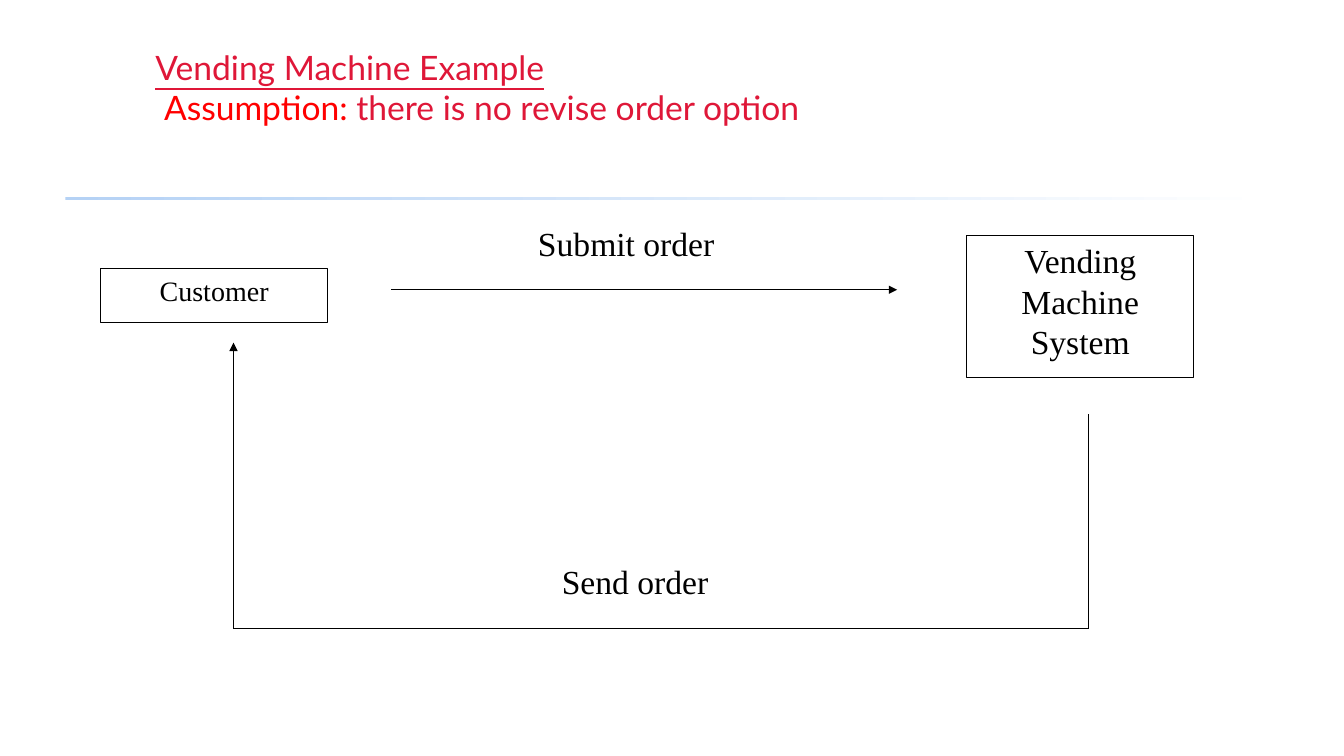
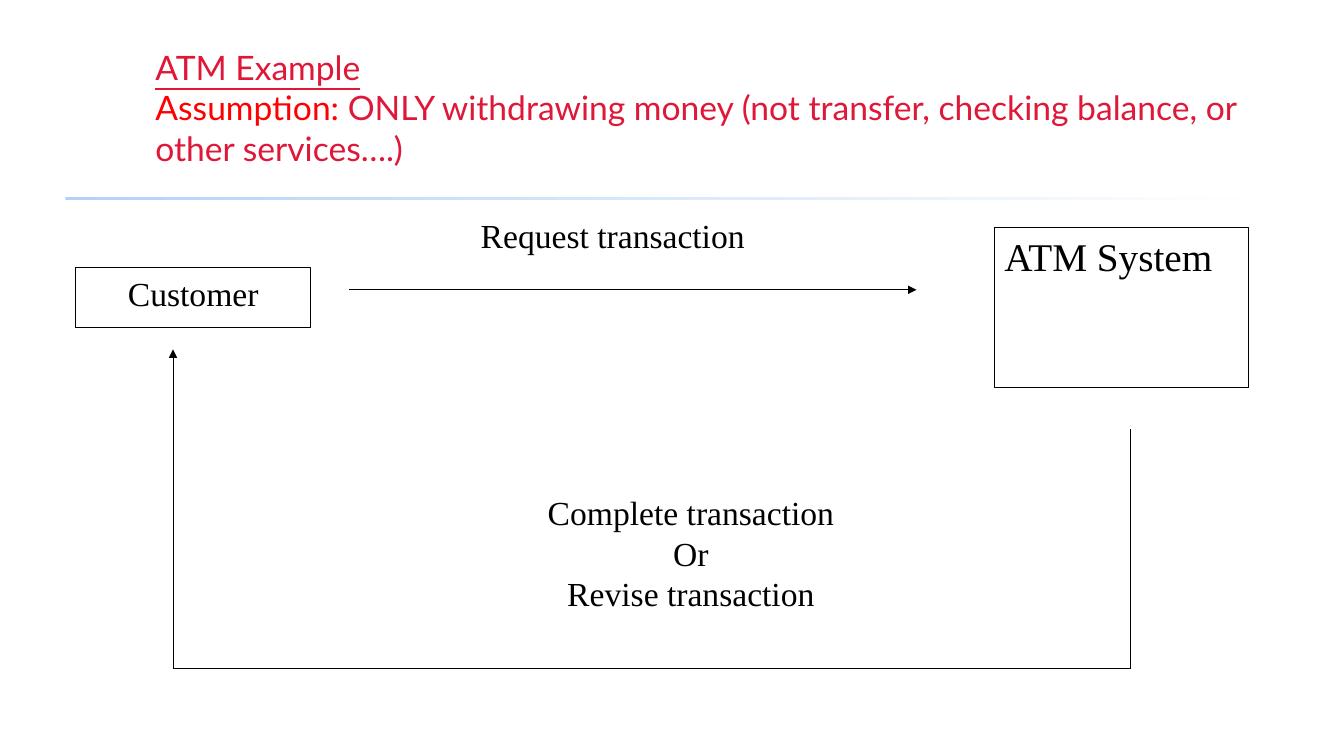
import dataclasses
import itertools

import lxml.etree
import pptx
import pptx.dml.color
import pptx.enum.shapes
import pptx.enum.text
import pptx.oxml.ns
import pptx.util


@dataclasses.dataclass(frozen=True)
class Theme:
    crimson = pptx.dml.color.RGBColor.from_string("DF1738")
    red = pptx.dml.color.RGBColor.from_string("FF0000")
    black = pptx.dml.color.RGBColor.from_string("000000")
    white = pptx.dml.color.RGBColor.from_string("FFFFFF")
    pale_blue = pptx.dml.color.RGBColor.from_string("B5D2F5")
    title_font = "Lato"
    body_font = "Times New Roman"
    title_size = pptx.util.Pt(24)
    label_size = pptx.util.Pt(24)
    line_width = pptx.util.Pt(0.75)


theme = Theme()
left = pptx.enum.text.PP_ALIGN.LEFT
center = pptx.enum.text.PP_ALIGN.CENTER
rectangle = pptx.enum.shapes.MSO_SHAPE.RECTANGLE

presentation = pptx.Presentation()
presentation.slide_width = pptx.util.Inches(13.33)
presentation.slide_height = pptx.util.Inches(7.5)
column = presentation.slide_width / 16
row = presentation.slide_height / 9


def place(x, y, width, height):
    return int(x * column), int(y * row), int(width * column), int(height * row)


def add_box(slide, area, lines, outline, size=theme.label_size, alignment=center):
    shape = slide.shapes.add_shape(rectangle, *place(*area))
    shape.shadow.inherit = False
    shape.fill.solid()
    shape.fill.fore_color.rgb = theme.white
    shape.line.color.rgb = outline
    shape.line.width = theme.line_width
    frame = shape.text_frame
    frame.word_wrap = True
    frame.vertical_anchor = pptx.enum.text.MSO_ANCHOR.TOP
    frame.text = "\n".join(lines)
    for paragraph in frame.paragraphs:
        paragraph.alignment = alignment
        paragraph.font.name = theme.body_font
        paragraph.font.size = size
        paragraph.font.color.rgb = theme.black


diagrams = [
    {
        "title": ("Vending Machine Example", " ", "Assumption:", " there is no revise order option"),
        "customer": ((1.2, 3.2, 2.7, 0.64), ["Customer"], theme.black, pptx.util.Pt(20)),
        "system": ((11.51, 2.8, 2.7, 1.69), ["Vending Machine System"], theme.black),
        "request": [(4.66, 3.45), (10.68, 3.45)],
        "response": [(12.96, 4.93), (12.96, 7.48), (2.78, 7.48), (2.78, 4.08)],
        "response label": ((6.11, 6.62, 2.9, 0.64), ["Send order"], theme.white),
        "request label": ((5.69, 2.6, 3.53, 0.64), ["Submit order"], theme.white),
    },
    {
        "title": (
            "ATM Example",
            "",
            "Assumption: ",
            "ONLY withdrawing money (not transfer, checking balance, or other services….)",
        ),
        "customer": ((0.9, 3.19, 2.8, 0.71), ["Customer"], theme.black),
        "system": ((11.84, 2.71, 3.02, 1.9), ["ATM System"], theme.black, pptx.util.Pt(28), left),
        "request": [(4.16, 3.45), (10.91, 3.45)],
        "response": [(13.46, 5.11), (13.46, 7.96), (2.06, 7.96), (2.06, 4.16)],
        "response label": (
            (5.2, 5.8, 6.05, 1.9),
            ["Complete transaction", "Or", "Revise transaction"],
            theme.white,
        ),
        "request label": ((4.62, 2.5, 5.35, 0.71), ["Request transaction"], theme.white),
    },
]

layout = presentation.slide_layouts.get_by_name("Title Only")
slides = [presentation.slides.add_slide(layout) for diagram in diagrams]

for placeholder in list(layout.placeholders)[1:]:
    layout.shapes.element.remove(placeholder.element)
rule = slides[0].shapes.add_shape(rectangle, *place(0.78, 2.34, 14.4, 0.04))
rule.shadow.inherit = False
rule.line.fill.background()
rule.fill.gradient()
rule.fill.gradient_angle = 0
for stop, color in zip(rule.fill.gradient_stops, (theme.pale_blue, theme.white)):
    stop.color.rgb = color
layout.shapes.element.append(rule.element)

for slide, diagram in zip(slides, diagrams):
    title = slide.shapes.title
    title.left, title.top, title.width, title.height = place(1.73, 0.5, 13.79, 1.5)
    frame = title.text_frame
    frame.word_wrap = True
    frame.auto_size = pptx.enum.text.MSO_AUTO_SIZE.NONE
    frame.vertical_anchor = pptx.enum.text.MSO_ANCHOR.TOP
    paragraph = frame.paragraphs[0]
    paragraph.alignment = left
    paragraph.font.name = theme.title_font
    paragraph.font.size = theme.title_size
    paragraph.font.color.rgb = theme.crimson
    heading, indent, keyword, assumption = diagram["title"]
    run = paragraph.add_run()
    run.text = heading
    run.font.underline = True
    paragraph.add_line_break()
    for text, color in ((indent, theme.crimson), (keyword, theme.red), (assumption, theme.crimson)):
        if text:
            run = paragraph.add_run()
            run.text = text
            run.font.color.rgb = color

    for name in ("customer", "system"):
        add_box(slide, *diagram[name])

    for name in ("request", "response"):
        for start, end in itertools.pairwise(diagram[name]):
            connector = slide.shapes.add_connector(
                pptx.enum.shapes.MSO_CONNECTOR.STRAIGHT, *place(*start, *end)
            )
            connector.line.color.rgb = theme.black
            connector.line.width = theme.line_width
            properties = connector.element.spPr
            lxml.etree.SubElement(properties, pptx.oxml.ns.qn("a:effectLst"))
        arrowhead = lxml.etree.SubElement(
            properties.find(pptx.oxml.ns.qn("a:ln")), pptx.oxml.ns.qn("a:tailEnd")
        )
        arrowhead.set("type", "triangle")

    for name in ("response label", "request label"):
        add_box(slide, *diagram[name])

presentation.save("out.pptx")
